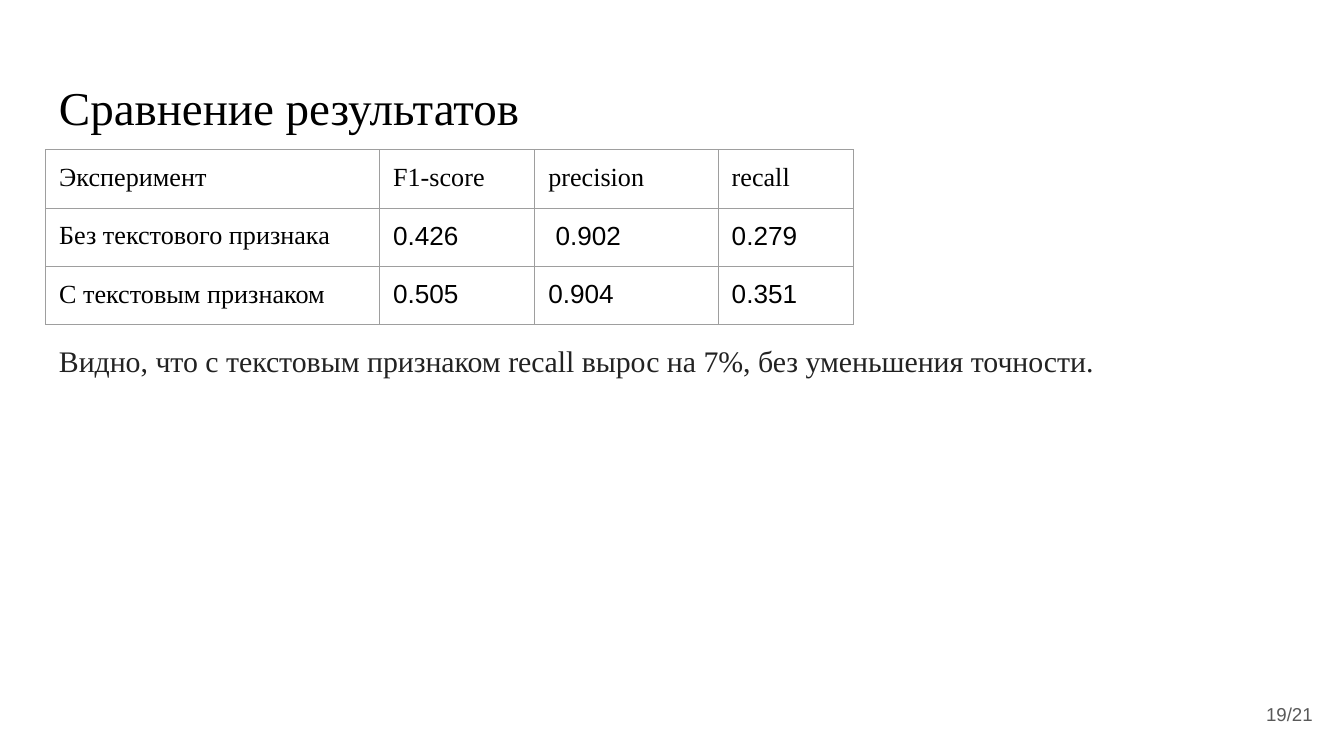
from lxml import etree
from pptx import Presentation
from pptx.dml.color import RGBColor
from pptx.enum.text import MSO_ANCHOR, PP_ALIGN
from pptx.oxml.ns import qn
from pptx.util import Pt

PX = 4572  # EMU per px, 200 px to the inch
TOP, MIDDLE = MSO_ANCHOR.TOP, MSO_ANCHOR.MIDDLE
LEFT, RIGHT = PP_ALIGN.LEFT, PP_ALIGN.RIGHT

BLACK = RGBColor(0x00, 0x00, 0x00)
DARK = RGBColor(0x22, 0x22, 0x22)
GREY = RGBColor(0x59, 0x59, 0x59)
BORDER = RGBColor(0x9E, 0x9E, 0x9E)
WHITE = RGBColor(0xFF, 0xFF, 0xFF)

SERIF, SANS = "Times New Roman", "Arial"
INSET = 20
COL_WIDTHS = [497, 231, 273, 201]
ROW_HEIGHT = 83
RESULTS = [
    ["Эксперимент", "F1-score", "precision", "recall"],
    ["Без текстового признака", "0.426", " 0.902", "0.279"],
    ["С текстовым признаком", "0.505", "0.904", "0.351"],
]


def set_insets(target):
    target.margin_left = target.margin_right = INSET * PX
    target.margin_top = target.margin_bottom = INSET * PX


def add_run(p, text, size, font, color):
    r = p.add_run()
    r.text = text
    r.font.size = Pt(size)
    r.font.name = font
    r.font.color.rgb = color


def add_text(slide, box, text, size, font, color,
             align=LEFT, anchor=TOP, spacing=1.0):
    tf = slide.shapes.add_textbox(*(v * PX for v in box)).text_frame
    tf.word_wrap = True
    tf.vertical_anchor = anchor
    set_insets(tf)
    p = tf.paragraphs[0]
    p.alignment = align
    p.line_spacing = spacing
    add_run(p, text, size, font, color)


def set_borders(cell):
    tc_pr = cell._tc.get_or_add_tcPr()
    for side in ("a:lnL", "a:lnR", "a:lnT", "a:lnB"):
        ln = etree.SubElement(tc_pr, qn(side), w=str(Pt(0.75)))
        fill = etree.SubElement(ln, qn("a:solidFill"))
        etree.SubElement(fill, qn("a:srgbClr"), val=str(BORDER))


def add_results_table(slide, box):
    left, top, width, height = (v * PX for v in box)
    frame = slide.shapes.add_table(len(RESULTS), len(COL_WIDTHS),
                                   left, top, width, height)
    table = frame.table
    table.first_row = table.horz_banding = False
    for column, col_width in zip(table.columns, COL_WIDTHS):
        column.width = col_width * PX
    for i, values in enumerate(RESULTS):
        table.rows[i].height = ROW_HEIGHT * PX
        for j, value in enumerate(values):
            cell = table.cell(i, j)
            set_insets(cell)
            set_borders(cell)
            cell.fill.background()
            # Headings and row names are serif, scores are sans
            font = SANS if i and j else SERIF
            add_run(cell.text_frame.paragraphs[0], value, 14, font, BLACK)
    # Row and column sizes reset the frame, so its size is set last
    frame.width, frame.height = width, height


def build_results_slide(prs):
    slide = prs.slides.add_slide(prs.slide_layouts[6])
    slide.background.fill.solid()
    slide.background.fill.fore_color.rgb = WHITE

    # Title
    add_text(slide, (68, 97, 1864, 125), "Сравнение результатов",
             25.2, SERIF, BLACK)
    # Conclusion
    add_text(slide, (68, 482, 1864, 526),
             "Видно, что с текстовым признаком recall вырос на 7%, "
             "без уменьшения точности.", 16, SERIF, DARK, spacing=1.15)
    # Page number
    add_text(slide, (1853, 1020, 120, 86), "19/21", 10, SANS, GREY,
             align=RIGHT, anchor=MIDDLE)
    # Scores
    add_results_table(slide, (68, 223, 656, 656))


def main():
    prs = Presentation()
    prs.slide_width, prs.slide_height = 2000 * PX, 1125 * PX
    build_results_slide(prs)
    prs.save("out.pptx")


if __name__ == "__main__":
    main()
